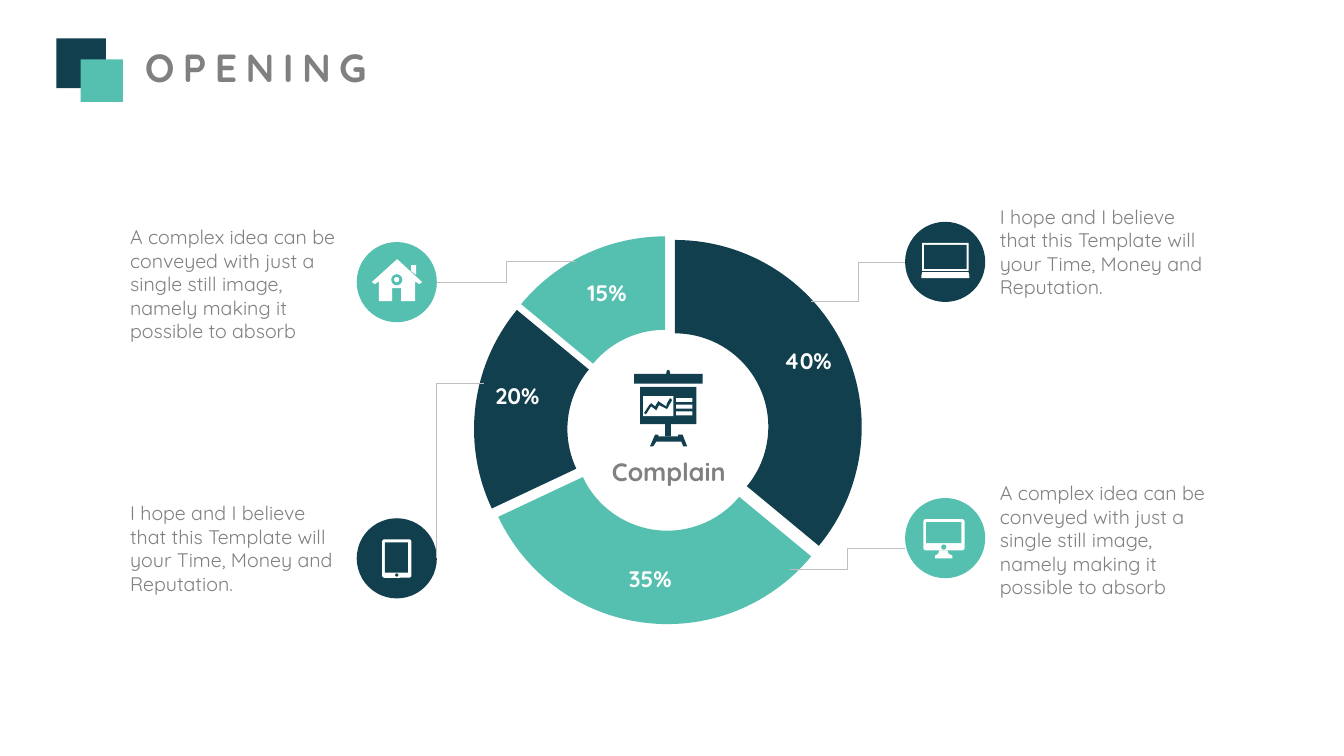
from lxml.etree import SubElement
from pptx import Presentation
from pptx.chart.data import CategoryChartData as ChartData
from pptx.dml.color import RGBColor
from pptx.enum.chart import XL_CHART_TYPE as Chart
from pptx.enum.shapes import MSO_CONNECTOR as Link, MSO_SHAPE as Kind
from pptx.enum.text import MSO_ANCHOR as Anchor, MSO_AUTO_SIZE as Auto, PP_ALIGN as Align
from pptx.oxml.ns import qn
from pptx.util import Cm, Pt

NAVY, TEAL, GREY, PALE, WHITE = "113F4E", "55C0AF", "808080", "BFBFBF", "FFFFFF"
FONT = "Quicksand"
RECT, OVAL, ROUND = Kind.RECTANGLE, Kind.OVAL, Kind.ROUNDED_RECTANGLE
rgb = RGBColor.from_string


def paint(shape, color):
    shape.shadow.inherit = False
    shape.fill.solid()
    shape.fill.fore_color.rgb = rgb(color)
    shape.line.fill.background()


def write(box, text, size, color, bold, align):
    frame = box.text_frame
    frame.word_wrap = True
    frame.margin_left = frame.margin_right = Cm(0.13)
    frame.margin_top = frame.margin_bottom = Cm(0.08)
    para = frame.paragraphs[0]
    para.text = text
    para.alignment = align
    para.font.name = FONT
    para.font.size = Pt(size)
    para.font.bold = bold
    para.font.color.rgb = rgb(color)


deck = Presentation()
deck.slide_width, deck.slide_height = Cm(33.87), Cm(19.05)
slide = deck.slides.add_slide(deck.slide_layouts[5])
shapes = slide.shapes

title = shapes.title
title.left, title.top, title.width, title.height = Cm(3.18), Cm(0.97), Cm(6.53), Cm(1.45)
write(title, "OPENING", 28, GREY, True, Align.CENTER)
frame = title.text_frame
frame.word_wrap = False
frame.auto_size = Auto.NONE
frame.vertical_anchor = Anchor.TOP
frame.margin_top = Cm(0.13)
frame.paragraphs[0].runs[0].font._element.set("spc", "600")

data = ChartData()
data.categories = ["1", "2", "3", "4"]
data.add_series("Series 1", (36, 32, 18, 14))
chart = shapes.add_chart(
    Chart.DOUGHNUT, Cm(10.72), Cm(5.59), Cm(12.24), Cm(10.49), data
).chart
chart.has_legend = False
chart.has_title = False
chart.font.name = FONT
chart.font.size = Pt(18)
chart.font.color.rgb = rgb("000000")
plot = chart.plots[0]
ring = plot.series[0]
for num, color in enumerate((NAVY, TEAL, NAVY, TEAL)):
    part = ring.points[num].format
    part.fill.solid()
    part.fill.fore_color.rgb = rgb(color)
    part.line.fill.background()
gap = SubElement(ring._element, qn("c:explosion"))
gap.set("val", "8")
ring._element.find(qn("c:dPt")).addprevious(gap)
plot._element.find(qn("c:holeSize")).set("val", "64")

IDEA = ("A complex idea can be conveyed with just a single still image, "
        "namely making it possible to absorb")
HOPE = "I hope and I believe that this Template will your Time, Money and Reputation."
notes = [
    (25.07, 5.08, 22.81, HOPE, NAVY),
    (25.07, 12.04, 22.81, IDEA, TEAL),
    (3.15, 5.59, 8.99, IDEA, TEAL),
    (3.15, 12.55, 8.99, HOPE, NAVY),
]
for left, top, disc, text, color in notes:
    high = 3.12 if text == IDEA else 2.51
    box = shapes.add_textbox(Cm(left), Cm(top), Cm(5.66), Cm(high))
    write(box, text, 14, GREY, False, Align.LEFT)
    paint(shapes.add_shape(OVAL, Cm(disc), Cm(top + 0.51), Cm(2.02), Cm(2.02)), color)

links = [
    (11, 7.11, 14.5, 6.6, 0.5),
    (11, 14.07, 12.19, 9.65, 0),
    (22.81, 6.6, 20.45, 7.6, 0.5),
    (22.81, 13.82, 19.91, 14.35, 0.5),
]
for *ends, bend in links:
    link = shapes.add_connector(Link.ELBOW, *map(Cm, ends))
    link.line.color.rgb = rgb(PALE)
    link.line.width = Pt(0.5)
    prop = link._element.spPr
    SubElement(prop, qn("a:effectLst"))
    guide = SubElement(prop.find(qn("a:prstGeom")).find(qn("a:avLst")), qn("a:gd"))
    guide.set("name", "adj1")
    guide.set("fmla", f"val {int(bend * 100000)}")

labels = [
    (19.51, 8.66, 1.7, 0.81, "40%", 16, WHITE),
    (14.45, 6.96, 1.7, 0.81, "15%", 16, WHITE),
    (15.54, 14.15, 1.7, 0.81, "35%", 16, WHITE),
    (12.19, 9.55, 1.7, 0.81, "20%", 16, WHITE),
    (14.86, 11.43, 3.99, 0.89, "Complain", 18, GREY),
]
for *area, text, size, color in labels:
    write(shapes.add_textbox(*map(Cm, area)), text, size, color, True, Align.CENTER)

logo = [(RECT, 1.42, 0.97, 1.25, 1.25, NAVY), (RECT, 2.03, 1.5, 1.07, 1.07, TEAL)]
board = [
    (OVAL, 16.79, 9.32, 0.1, 0.2, NAVY),
    (RECT, 15.98, 9.42, 1.73, 0.25, NAVY),
    (RECT, 16.13, 9.75, 1.42, 0.94, NAVY),
    (RECT, 16.76, 10.69, 0.15, 0.31, NAVY),
    (RECT, 16.21, 9.98, 0.76, 0.51, WHITE),
    *[(RECT, 17.04, 10.03 + 0.17 * row, 0.41, 0.1, WHITE) for row in range(3)],
]
laptop = [(RECT, 23.24, 6.12, 1.17, 0.71, WHITE), (RECT, 23.29, 6.17, 1.07, 0.61, NAVY)]
screen = [
    (ROUND, 23.27, 13.08, 1.04, 0.79, WHITE),
    (RECT, 23.34, 13.16, 0.89, 0.53, TEAL),
    (OVAL, 23.72, 13.72, 0.13, 0.13, TEAL),
]
tablet = [
    (ROUND, 9.63, 13.59, 0.74, 0.97, WHITE),
    (RECT, 9.7, 13.67, 0.58, 0.76, NAVY),
    (OVAL, 9.96, 14.45, 0.08, 0.08, NAVY),
]
for kind, *area, color in logo + board + laptop + screen + tablet:
    shape = shapes.add_shape(kind, *map(Cm, area))
    paint(shape, color)
    if kind == ROUND:
        shape.adjustments[0] = 0.08

legs = [(16.51, 10.95), (16.59, 10.95), (16.59, 11), (17.09, 11), (17.09, 10.95),
        (17.2, 10.95), (17.32, 11.25), (17.22, 11.25), (17.17, 11.13),
        (16.54, 11.13), (16.46, 11.25), (16.38, 11.25)]
trend = [(16.81, 10.16), (16.79, 10.24), (16.71, 10.19), (16.59, 10.11), (16.51, 10.24),
         (16.41, 10.16), (16.36, 10.21), (16.23, 10.41), (16.28, 10.44), (16.41, 10.24),
         (16.54, 10.34), (16.61, 10.21), (16.81, 10.31), (16.94, 10.08), (16.89, 10.03)]
house = [(10.01, 6.53), (9.37, 7.11), (9.45, 7.16), (9.55, 7.09), (9.55, 7.59),
         (9.88, 7.59), (9.88, 7.26), (10.11, 7.26), (10.11, 7.59), (10.46, 7.59),
         (10.46, 7.09), (10.57, 7.16), (10.64, 7.11)]
flue = [(10.49, 6.93), (10.49, 6.68), (10.36, 6.68), (10.36, 6.83)]
stand = [(23.67, 13.87), (23.88, 13.87), (23.9, 13.95), (24, 14), (24, 14.07),
         (23.57, 14.07), (23.57, 14), (23.65, 13.95)]
base = [(23.24, 6.86), (24.41, 6.86), (24.43, 6.96), (24.43, 7.01), (23.22, 7.01),
        (23.22, 6.96)]
outlines = [(legs, NAVY), (trend, NAVY), (house, WHITE), (flue, WHITE),
            (stand, WHITE), (base, WHITE)]
for dots, color in outlines:
    first, *rest = [(Cm(x), Cm(y)) for x, y in dots]
    pen = shapes.build_freeform(*first)
    pen.add_line_segments(rest, close=True)
    paint(pen.convert_to_shape(), color)

for left, top, size, color in [(9.86, 6.91, 0.28, TEAL), (9.93, 6.98, 0.13, WHITE)]:
    paint(shapes.add_shape(OVAL, Cm(left), Cm(top), Cm(size), Cm(size)), color)

deck.save("out.pptx")
